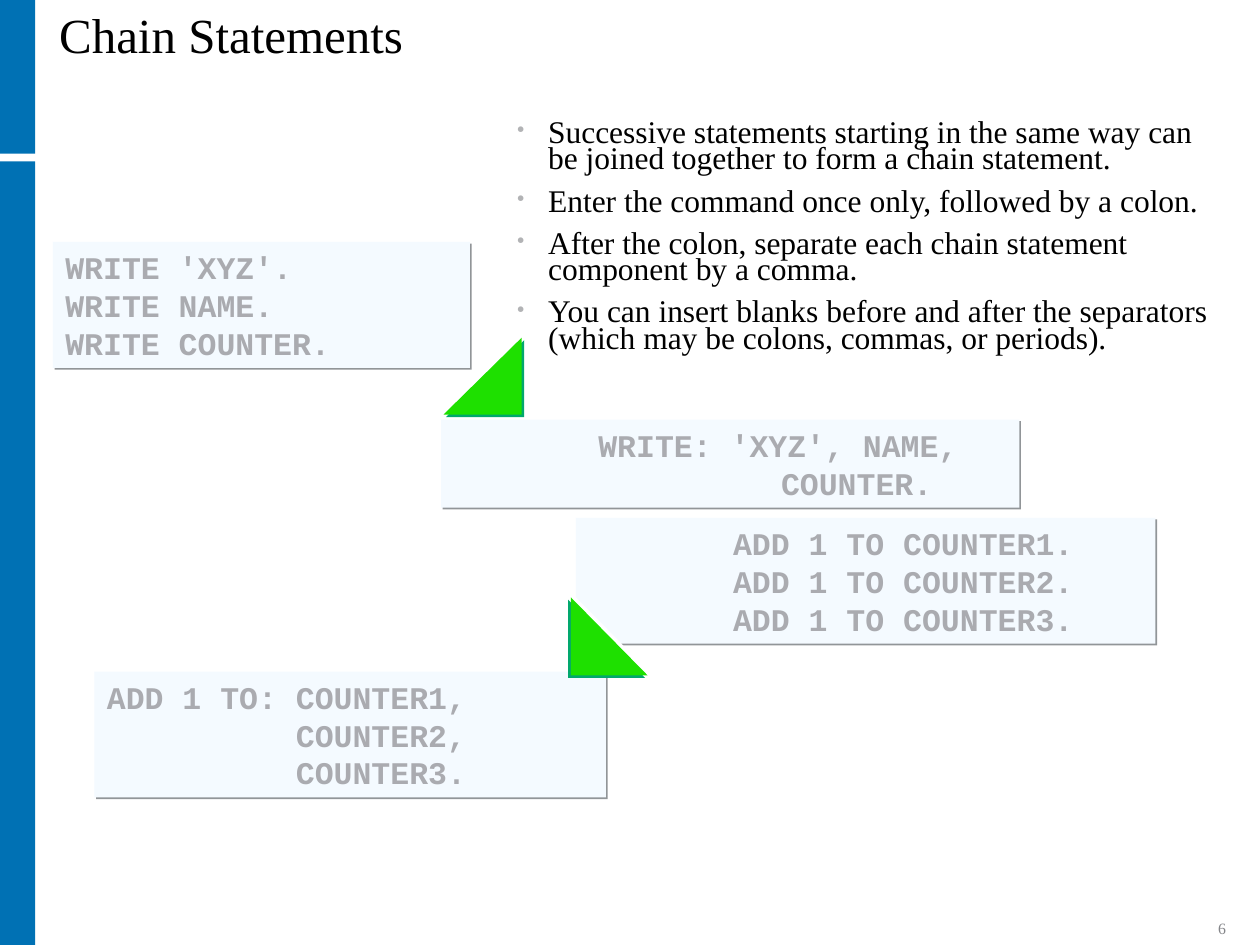
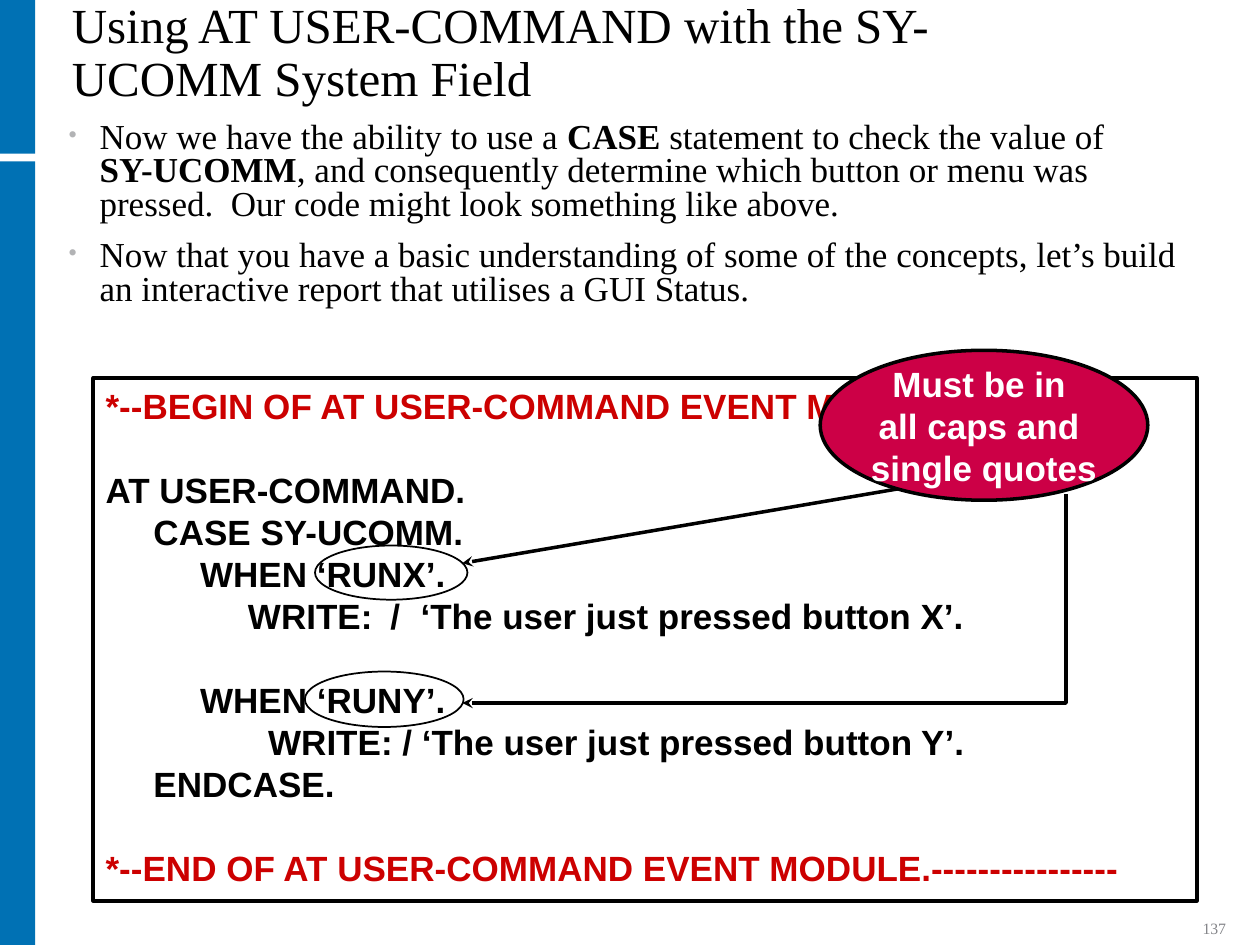
from lxml import etree
from pptx import Presentation
from pptx import util as u
from pptx.dml import color
from pptx.enum import shapes, text
from pptx.oxml import ns

BLUE, PALE, WHITE, BLACK = "0071B4", "F4FAFF", "FFFFFF", "000000"
GREY, SHADE, DOT, FAINT = "AAABB0", "919598", "B2B3B5", "848589"
GREEN, DARK, RED, PINK = "1EE000", "02A86D", "CC0000", "CC0046"
SERIF, SANS, MONO = "Times New Roman", "Arial", "Courier New"
KIND, ALIGN, ANCHOR = shapes.MSO_SHAPE, text.PP_ALIGN, text.MSO_ANCHOR


def rgb(code):
    return color.RGBColor.from_string(code)


def inch(values):
    return [u.Inches(v) for v in values]


def shift(box, x, y):
    return box[0] + x, box[1] + y


def child(parent, tag, **attrs):
    return etree.SubElement(parent, ns.qn("a:" + tag), {k: str(v) for k, v in attrs.items()})


def paint(shape, fill=None, line=None, width=1):
    if hasattr(shape, "shadow"):
        shape.shadow.inherit = False
    if fill:
        shape.fill.solid()
        shape.fill.fore_color.rgb = rgb(fill)
    else:
        shape.fill.background()
    if line:
        shape.line.color.rgb = rgb(line)
        shape.line.width = u.Pt(width)
    else:
        shape.line.fill.background()
    return shape


def block(slide, kind, box, fill=None, line=None, width=1):
    return paint(slide.shapes.add_shape(kind, *inch(box)), fill, line, width)


def trace(parts, points, close):
    points = [inch(p) for p in points]
    pen = parts.build_freeform(*points[0])
    pen.add_line_segments(points[1:], close=close)
    return pen.convert_to_shape()


def write(para, words, size, face, ink, bold=False):
    run = para.add_run()
    run.text = words
    font = run.font
    font.size, font.name, font.bold = u.Pt(size), face, bold
    font.color.rgb = rgb(ink)


def frame(shape, anchor=ANCHOR.TOP, wrap=True):
    body = shape.text_frame
    body.auto_size = text.MSO_AUTO_SIZE.NONE
    body.word_wrap = wrap
    body.vertical_anchor = anchor
    return body


def lines(body, items):
    for i, item in enumerate(items):
        yield (body.add_paragraph() if i else body.paragraphs[0]), item


def stops(para, places):
    tabs = child(para._p.get_or_add_pPr(), "tabLst")
    for place in places:
        child(tabs, "tab", pos=u.Inches(place), algn="l")


def place(shape, box):
    shape.left, shape.top, shape.width, shape.height = inch(box)


def bands(deck, slide):
    tree = deck.slide_master.shapes._spTree
    for i, (top, height) in enumerate([(1.28, 6.22), (0, 1.22)]):
        band = block(slide, KIND.RECTANGLE, (0, top, 0.28, height), BLUE)
        band._element.nvSpPr.cNvPr.set("id", str(90 + i))
        tree.insert(2 + i, band._element)


def head(slide, box, words, inset):
    title = slide.shapes.title
    place(title, box)
    body = frame(title, ANCHOR.MIDDLE)
    body.margin_left = body.margin_right = u.Inches(inset)
    body.margin_top = body.margin_bottom = u.Inches(inset / 2)
    para = body.paragraphs[0]
    para.alignment, para.line_spacing = ALIGN.LEFT, 0.9
    write(para, words, 28, SERIF, BLACK)


def points(slide, box, items, size, pitch):
    holder = slide.placeholders[1]
    place(holder, box)
    for i, (para, parts) in enumerate(lines(frame(holder), items)):
        props = para._p.get_or_add_pPr()
        props.set("marL", str(u.Inches(0.25)))
        props.set("indent", str(-u.Inches(0.25)))
        child(child(props, "buClr"), "srgbClr", val=DOT)
        child(props, "buSzPct", val=75000)
        child(props, "buFont", typeface=SERIF)
        child(props, "buChar", char="•")
        para.line_spacing = pitch
        para.space_before = u.Pt(size * 0.375 if i else 0)
        para.space_after = u.Pt(size * 0.125)
        for j, part in enumerate(parts):
            if part.endswith("\n"):
                write(para, part[:-1], size, SERIF, BLACK, j % 2 == 1)
                para.add_line_break()
            else:
                write(para, part, size, SERIF, BLACK, j % 2 == 1)


def number(slide, label):
    body = frame(slide.shapes.add_textbox(*inch((9, 7.25, 0.83, 0.24))), ANCHOR.BOTTOM)
    para = body.paragraphs[0]
    para.alignment = ALIGN.RIGHT
    write(para, label, 9, SERIF, FAINT)


def sample(slide, box, code):
    card = block(slide, KIND.RECTANGLE, box, PALE)
    cast = child(card._element.spPr.find(ns.qn("a:effectLst")), "outerShdw",
                 blurRad=0, dist=u.Pt(1.4), dir=45 * 60000, algn="ctr", rotWithShape=0)
    child(cast, "srgbClr", val=SHADE)
    for para, row in lines(frame(card), code):
        para.alignment = ALIGN.LEFT
        stops(para, range(1, 8))
        write(para, row, 18, MONO, GREY, True)


def wedge(slide, box, side):
    group = slide.shapes.add_group_shape()
    x, y, width, height = box
    for off, fill in [(0.02, DARK), (-0.02, WHITE), (0, GREEN)]:
        left, top = x + side * off, y + off
        right, base = left + width, top + height
        peak = right if side > 0 else left
        paint(trace(group.shapes, [(left, base), (right, base), (peak, top)], True), fill)


def arrow(line):
    line.line.color.rgb = rgb(BLACK)
    line.line.width = u.Pt(2)
    child(line.line._get_or_add_ln(), "tailEnd", type="stealth")


def listing(slide, box, code):
    panel = block(slide, KIND.RECTANGLE, box, WHITE, BLACK, 2)
    for para, (row, gap) in lines(frame(panel), code):
        para.alignment = ALIGN.LEFT
        para.space_before = u.Pt(24 * gap)
        stops(para, (0.38, 0.75, 1.13, 1.49, 1.88, 2.26, 2.5))
        write(para, row, 20, SANS, RED if row.startswith("*") else BLACK, True)


def callout(slide, box, words):
    for x, y, width, height in [(1.76, 1.33, 1.21, 0.43), (1.68, 2.33, 1.26, 0.44)]:
        block(slide, KIND.OVAL, (*shift(box, x, y), width, height), line=BLACK)
    start, end = shift(box, 6.68, 0.83), shift(box, 2.93, 1.47)
    link = slide.shapes.add_connector(shapes.MSO_CONNECTOR.STRAIGHT, *inch(start + end))
    arrow(link)
    child(link._element.spPr, "effectLst")
    note = block(slide, KIND.OVAL, (*shift(box, 5.77, -0.22), 2.6, 1.19), PINK, BLACK, 2)
    for para, row in lines(frame(note, ANCHOR.MIDDLE, False), words):
        para.alignment = ALIGN.CENTER
        write(para, row, 20, SANS, WHITE, True)
    bend = [shift(box, x, y) for x, y in [(7.72, 0.92), (7.72, 2.58), (2.93, 2.58)]]
    arrow(paint(trace(slide.shapes, bend, False), line=BLACK, width=2))


def chain(slide):
    head(slide, (0.47, 0.13, 8.34, 0.33), "Chain Statements", 0)
    sample(slide, (0.42, 1.92, 3.31, 1), ["WRITE 'XYZ'.", "WRITE NAME.", "WRITE COUNTER."])
    sample(slide, (3.5, 3.33, 4.59, 0.7), ["\t WRITE: 'XYZ', NAME,", "\t\t    COUNTER."])
    sample(slide, (4.57, 4.11, 4.6, 1), [f"\t ADD 1 TO COUNTER{n}." for n in (1, 2, 3)])
    wedge(slide, (3.52, 2.68, 0.62, 0.61), 1)
    sample(slide, (0.75, 5.33, 4.06, 1),
           ["ADD 1 TO: COUNTER1,", "          COUNTER2,", "          COUNTER3."])
    wedge(slide, (4.53, 4.74, 0.61, 0.62), -1)
    points(slide, (4, 0.92, 5.81, 2.17), [
        ["Successive statements starting in the same way can be joined together "
         "to form a chain statement."],
        ["Enter the command once only, followed by a colon."],
        ["After the colon, separate each chain statement component by a comma."],
        ["You can insert blanks before and after the separators "
         "(which may be colons, commas, or periods)."],
    ], 18, 0.7)
    number(slide, "6")


def command(slide):
    head(slide, (0.47, 0.12, 8.34, 0.62),
         "Using AT USER-COMMAND with the SY-UCOMM System Field", 0.1)
    points(slide, (0.44, 0.92, 9.05, 1.58), [
        ["Now we have the ability to use a ", "CASE",
         " statement to check the value of \n", "SY-UCOMM",
         ", and consequently determine which button or menu was pressed.  "
         "Our code might look something like above."],
        ["Now that you have a basic understanding of some of the concepts, "
         "let’s build an interactive report that utilises a GUI Status."],
    ], 20, 0.8)
    box = (0.74, 3, 8.76, 4.15)
    listing(slide, box, [
        ("*--BEGIN OF AT USER-COMMAND EVENT MODULE.--------------", 0),
        ("AT USER-COMMAND.", 1),
        ("\tCASE SY-UCOMM.", 0),
        ("\t\tWHEN ‘RUNX’.", 0),
        ("\t\t\tWRITE: \t/ \t‘The user just pressed button X’.", 0),
        ("\t\tWHEN ‘RUNY’.", 1),
        ("\t\t       WRITE: / ‘The user just pressed button Y’.", 0),
        ("\tENDCASE.", 0),
        ("*--END OF AT USER-COMMAND EVENT MODULE.----------------", 1),
    ])
    callout(slide, box, ["Must be in ", "all caps and ", "single quotes"])
    number(slide, "137")


def main():
    deck = Presentation()
    deck.slide_width, deck.slide_height = inch((10, 7.5))
    first, second = [deck.slides.add_slide(deck.slide_layouts[1]) for _ in range(2)]
    bands(deck, first)
    chain(first)
    command(second)
    deck.save("out.pptx")


if __name__ == "__main__":
    main()
